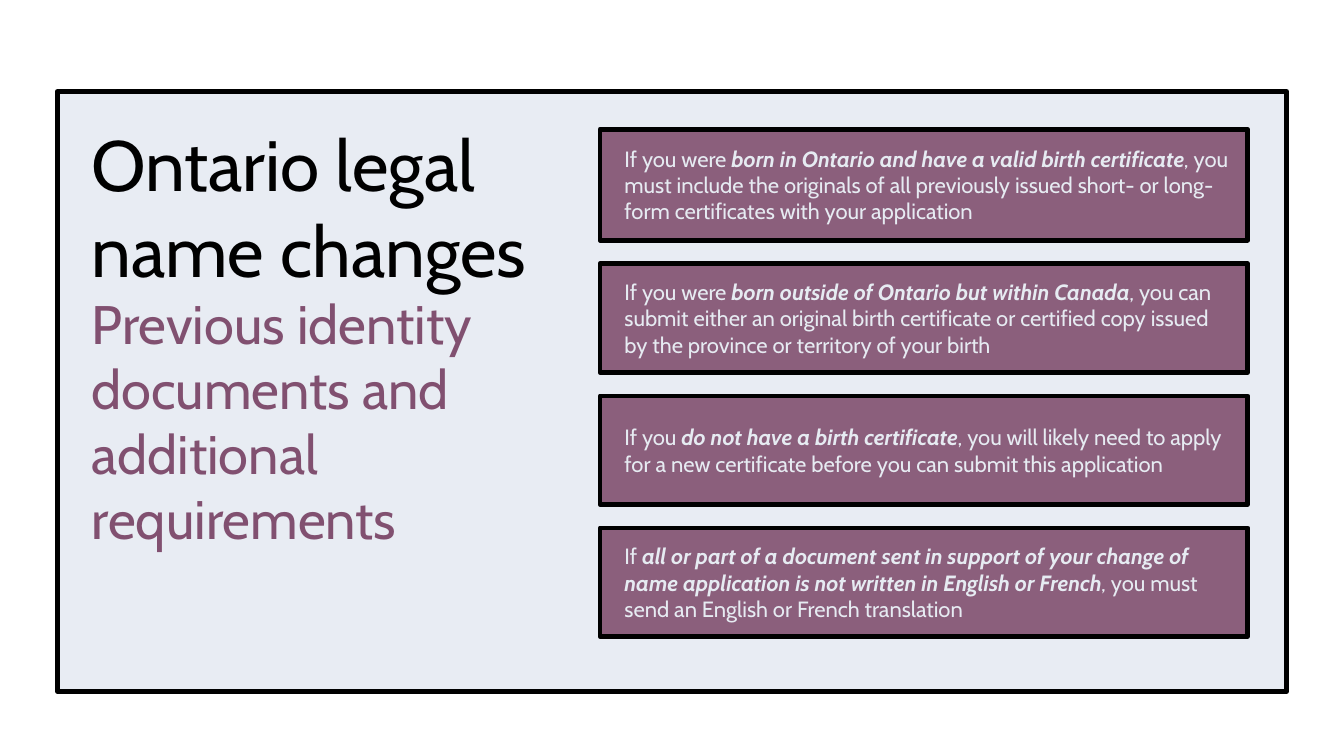
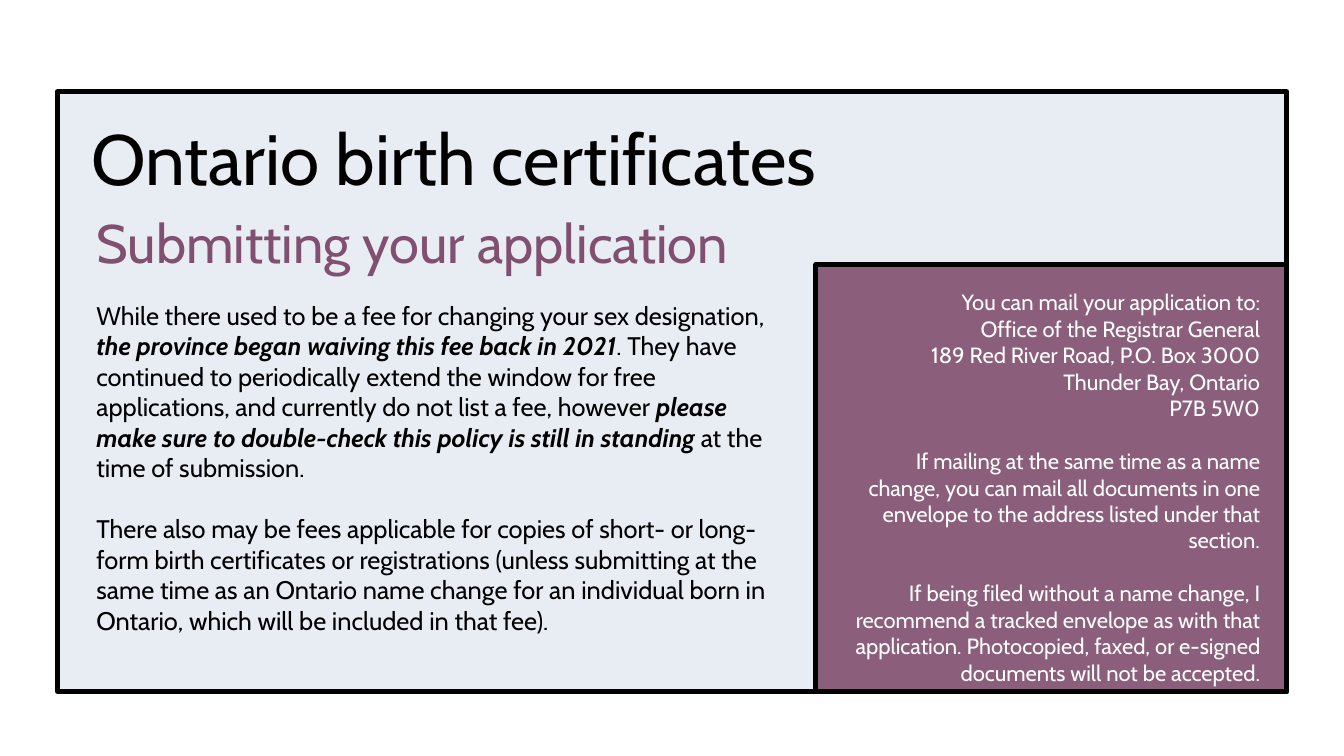
from dataclasses import dataclass

from lxml import etree
from pptx import Presentation
from pptx.dml.color import RGBColor
from pptx.enum.shapes import MSO_SHAPE
from pptx.enum.text import MSO_ANCHOR, PP_ALIGN
from pptx.oxml.ns import qn
from pptx.util import Inches, Pt

RECT = MSO_SHAPE.RECTANGLE
TOP, MIDDLE = MSO_ANCHOR.TOP, MSO_ANCHOR.MIDDLE
LEFT, RIGHT = PP_ALIGN.LEFT, PP_ALIGN.RIGHT


@dataclass(frozen=True)
class Theme:
    font: str = "Cabin"
    black: str = "000000"
    white: str = "FFFFFF"
    pale: str = "E6EBF2"
    plum: str = "815070"
    title: int = 42
    subtitle: int = 32
    body: int = 15
    card: int = 13
    border: float = 2.83
    opacity: int = 90


T = Theme()

# Content: a paragraph is a list of runs, (text, emphasised)
NAME_TITLE = "Ontario legal name changes"
NAME_SUBTITLE = "Previous identity documents and additional requirements"
CARDS = [
    [("If you were ", False),
     ("born in Ontario and have a valid birth certificate", True),
     (", you must include the originals of all previously issued short- or "
      "long-form certificates with your application", False)],
    [("If you were ", False),
     ("born outside of Ontario but within Canada", True),
     (", you can submit either an original birth certificate or certified "
      "copy issued by the province or territory of your birth", False)],
    [("If you ", False),
     ("do not have a birth certificate", True),
     (", you will likely need to apply for a new certificate before you can "
      "submit this application", False)],
    [("If ", False),
     ("all or part of a document sent in support of your change of name "
      "application is not written in English or French", True),
     (", you must send an English or French translation", False)],
]

BIRTH_TITLE = "Ontario birth certificates"
BIRTH_SUBTITLE = "Submitting your application"
FEES = [
    [("While there used to be a fee for changing your sex designation, ", False),
     ("the province began waiving this fee back in 2021", True),
     (". They have continued to periodically extend the window for free "
      "applications, and currently do not list a fee, however ", False),
     ("please make sure to double-check this policy is still in standing", True),
     (" at the time of submission.", False)],
    [("There also may be fees applicable for copies of short- or long-form "
      "birth certificates or registrations (unless submitting at the same time "
      "as an Ontario name change for an individual born in Ontario, which will "
      "be included in that fee).", False)],
]
ADDRESS = [
    "You can mail your application to:",
    "Office of the Registrar General",
    "189 Red River Road, P.O. Box 3000",
    "Thunder Bay, Ontario",
    "P7B 5W0",
]
MAIL_NOTES = [
    "If mailing at the same time as a name change, you can mail all documents "
    "in one envelope to the address listed under that section.",
    "If being filed without a name change, I recommend a tracked envelope as "
    "with that application. Photocopied, faxed, or e-signed documents will not "
    "be accepted.",
]

# Layout in inches: left, top, width, height
PANEL = (0.47, 0.75, 10.08, 4.92)
MAIL_BOX = (6.69, 2.17, 3.86, 3.5)
CARD_LEFT, CARD_WIDTH = 4.92, 5.31
CARD_TOP, CARD_BOTTOM = 1.06, 5.22
CARD_HEIGHTS = (0.91, 0.89, 0.89, 0.89)
LINE_HEIGHT = 1.2


def plain(text):
    return [(text, False)]


def write(sp, paragraphs, size, color, align=LEFT, anchor=TOP,
          insets=(0, 0, 0, 0), gaps=()):
    """Fill a shape with text; gaps holds the paragraphs set off by one line."""
    tf = sp.text_frame
    tf.word_wrap = True
    tf.vertical_anchor = anchor
    tf.margin_left, tf.margin_top, tf.margin_right, tf.margin_bottom = map(Inches, insets)
    for i, runs in enumerate(paragraphs):
        p = tf.add_paragraph() if i else tf.paragraphs[0]
        p.alignment = align
        if i in gaps:
            p.space_before = Pt(size * LINE_HEIGHT)
        for text, strong in runs:
            r = p.add_run()
            r.text = text
            r.font.name = T.font
            r.font.size = Pt(size)
            r.font.bold = r.font.italic = strong
            r.font.color.rgb = RGBColor.from_string(color)


def add_text(s, box, paragraphs, size, color, **options):
    sp = s.shapes.add_textbox(*map(Inches, box))
    write(sp, paragraphs, size, color, **options)


def add_box(s, box, fill):
    sp = s.shapes.add_shape(RECT, *map(Inches, box))
    sp.shadow.inherit = False
    sp.fill.solid()
    sp.fill.fore_color.rgb = RGBColor.from_string(fill)
    clr = sp.fill._xPr.find(qn("a:solidFill"))[0]
    etree.SubElement(clr, qn("a:alpha")).set("val", str(T.opacity * 1000))
    sp.line.color.rgb = RGBColor.from_string(T.black)
    sp.line.width = Pt(T.border)
    return sp


def add_slide(prs, title, title_box, subtitle, subtitle_box):
    """Slide with the framed panel and its two headings."""
    s = prs.slides.add_slide(prs.slide_layouts[6])
    add_box(s, PANEL, T.pale)
    add_text(s, title_box, [plain(title)], T.title, T.black, anchor=MIDDLE)
    add_text(s, subtitle_box, [plain(subtitle)], T.subtitle, T.plum, anchor=MIDDLE)
    return s


def name_change_slide(prs):
    s = add_slide(prs, NAME_TITLE, (0.75, 1.03, 4.17, 1.32),
                  NAME_SUBTITLE, (0.75, 2.44, 3.98, 2.02))
    # Stack of cards with equal gaps
    gap = (CARD_BOTTOM - CARD_TOP - sum(CARD_HEIGHTS)) / (len(CARDS) - 1)
    top = CARD_TOP
    for runs, height in zip(CARDS, CARD_HEIGHTS):
        card = add_box(s, (CARD_LEFT, top, CARD_WIDTH, height), T.plum)
        write(card, [runs], T.card, T.pale, anchor=MIDDLE, insets=(0.2, 0, 0.11, 0))
        top += height + gap


def birth_certificate_slide(prs):
    s = add_slide(prs, BIRTH_TITLE, (0.75, 0.94, 7.4, 0.7),
                  BIRTH_SUBTITLE, (0.79, 1.68, 6.54, 0.6))
    add_text(s, (0.79, 2.46, 5.55, 2.6), FEES, T.body, T.black, gaps=(1,))
    # Mailing details
    lines = ADDRESS + MAIL_NOTES
    mail = add_box(s, MAIL_BOX, T.plum)
    write(mail, [plain(line) for line in lines], T.card, T.white, align=RIGHT,
          insets=(0.3, 0.2, 0.22, 0), gaps=range(len(ADDRESS), len(lines)))


def main():
    prs = Presentation()
    prs.slide_width, prs.slide_height = Inches(11.02), Inches(6.2)
    name_change_slide(prs)
    birth_certificate_slide(prs)
    prs.save("out.pptx")


if __name__ == "__main__":
    main()
